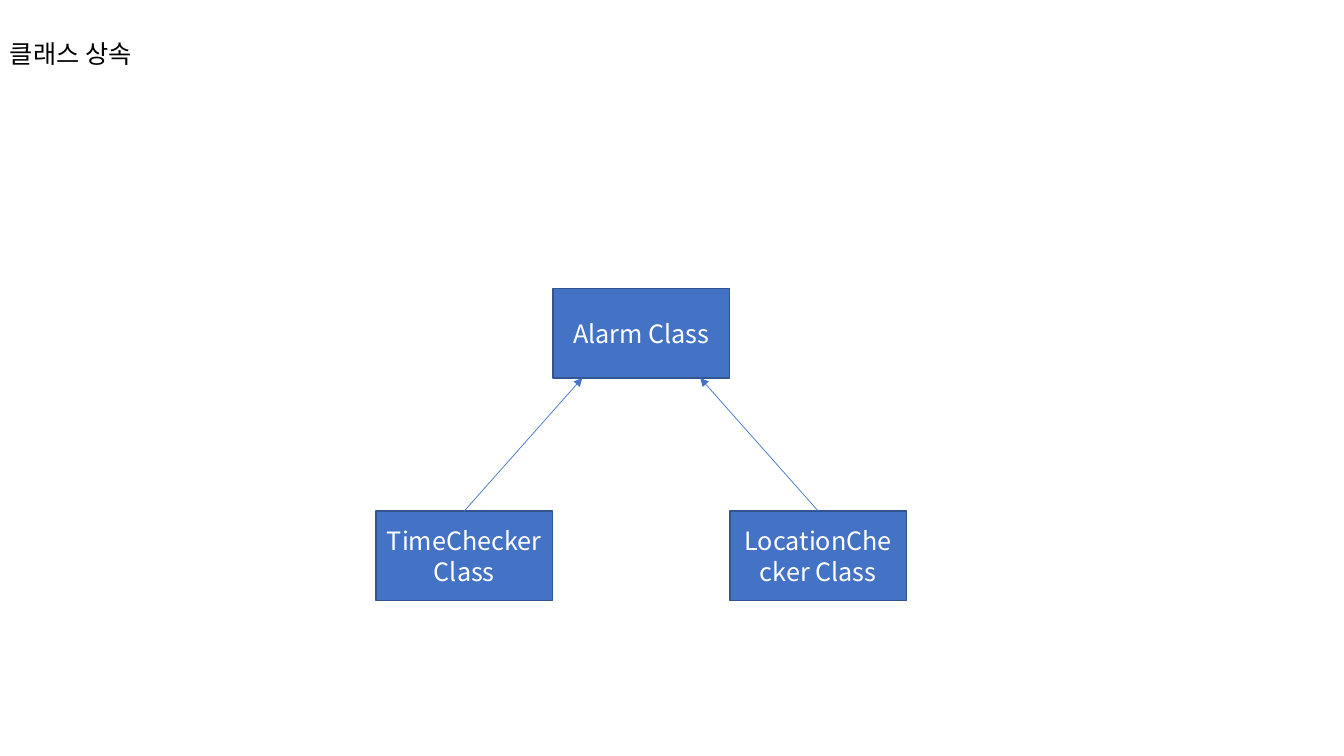
import dataclasses

import pptx
import pptx.dml.color
import pptx.enum.shapes
import pptx.enum.text
import pptx.oxml.ns
import pptx.util
from lxml import etree

PX = 9144  # EMU in one px, 100 px to the inch


@dataclasses.dataclass(frozen=True)
class Theme:
    font: str = "Noto Sans CJK KR"
    size: int = 18
    text: str = "000000"
    box_text: str = "FFFFFF"
    box_fill: str = "4472C4"
    box_line: str = "325491"
    arrow: str = "4472C4"
    box_line_width: float = 1
    arrow_width: float = 0.5


THEME = Theme()


def px(n):
    return pptx.util.Emu(round(n * PX))


def rgb(value):
    return pptx.dml.color.RGBColor.from_string(value)


def write(tf, text, color):
    p = tf.paragraphs[0]
    p.text = text
    p.font.name = THEME.font
    p.font.size = pptx.util.Pt(THEME.size)
    p.font.color.rgb = rgb(color)
    r_pr = p.runs[0].font._element
    etree.SubElement(r_pr, pptx.oxml.ns.qn("a:ea"), typeface=THEME.font)
    return p


def add_title(slide, text, x, y, w, h):
    sp = slide.shapes.add_textbox(px(x), px(y), px(w), px(h))
    tf = sp.text_frame
    tf.word_wrap = False
    tf.auto_size = pptx.enum.text.MSO_AUTO_SIZE.SHAPE_TO_FIT_TEXT
    write(tf, text, THEME.text)


def add_class_box(slide, text, x, y, w, h):
    sp = slide.shapes.add_shape(
        pptx.enum.shapes.MSO_SHAPE.RECTANGLE, px(x), px(y), px(w), px(h))
    sp.shadow.inherit = False
    sp.fill.solid()
    sp.fill.fore_color.rgb = rgb(THEME.box_fill)
    sp.line.color.rgb = rgb(THEME.box_line)
    sp.line.width = pptx.util.Pt(THEME.box_line_width)
    tf = sp.text_frame
    tf.word_wrap = True
    tf.vertical_anchor = pptx.enum.text.MSO_ANCHOR.MIDDLE
    p = write(tf, text, THEME.box_text)
    p.alignment = pptx.enum.text.PP_ALIGN.CENTER


def add_arrow(slide, x1, y1, x2, y2):
    line = slide.shapes.add_connector(
        pptx.enum.shapes.MSO_CONNECTOR.STRAIGHT, px(x1), px(y1), px(x2), px(y2))
    line.line.color.rgb = rgb(THEME.arrow)
    line.line.width = pptx.util.Pt(THEME.arrow_width)
    qn = pptx.oxml.ns.qn
    etree.SubElement(line.line._get_or_add_ln(), qn("a:tailEnd"), type="triangle")
    etree.SubElement(line._element.spPr, qn("a:effectLst"))


def add_class_tree(slide, parent, children, x, y, w, h, box_w, box_h):
    """Place the parent at the top centre and the children along the bottom."""
    center = x + w / 2
    child_y = y + h - box_h
    step = (w - box_w) / (len(children) - 1)
    child_centers = [x + box_w / 2 + i * step for i in range(len(children))]

    add_class_box(slide, parent, center - box_w / 2, y, box_w, box_h)
    for name, cx in zip(children, child_centers):
        add_class_box(slide, name, cx - box_w / 2, child_y, box_w, box_h)
    for cx in child_centers:
        # Arrows land a third of the way from the centre to the child.
        add_arrow(slide, cx, child_y, center + (cx - center) / 3, y + box_h)


def main():
    prs = pptx.Presentation()
    prs.slide_width, prs.slide_height = px(1333), px(750)
    slide = prs.slides.add_slide(prs.slide_layouts[6])
    add_class_tree(slide, "Alarm Class",
                   ["TimeChecker Class", "LocationChecker Class"],
                   x=373, y=286, w=526, h=310, box_w=175, box_h=89)
    add_title(slide, "클래스 상속", x=0, y=33, w=155, h=40)
    prs.save("out.pptx")


if __name__ == "__main__":
    main()
